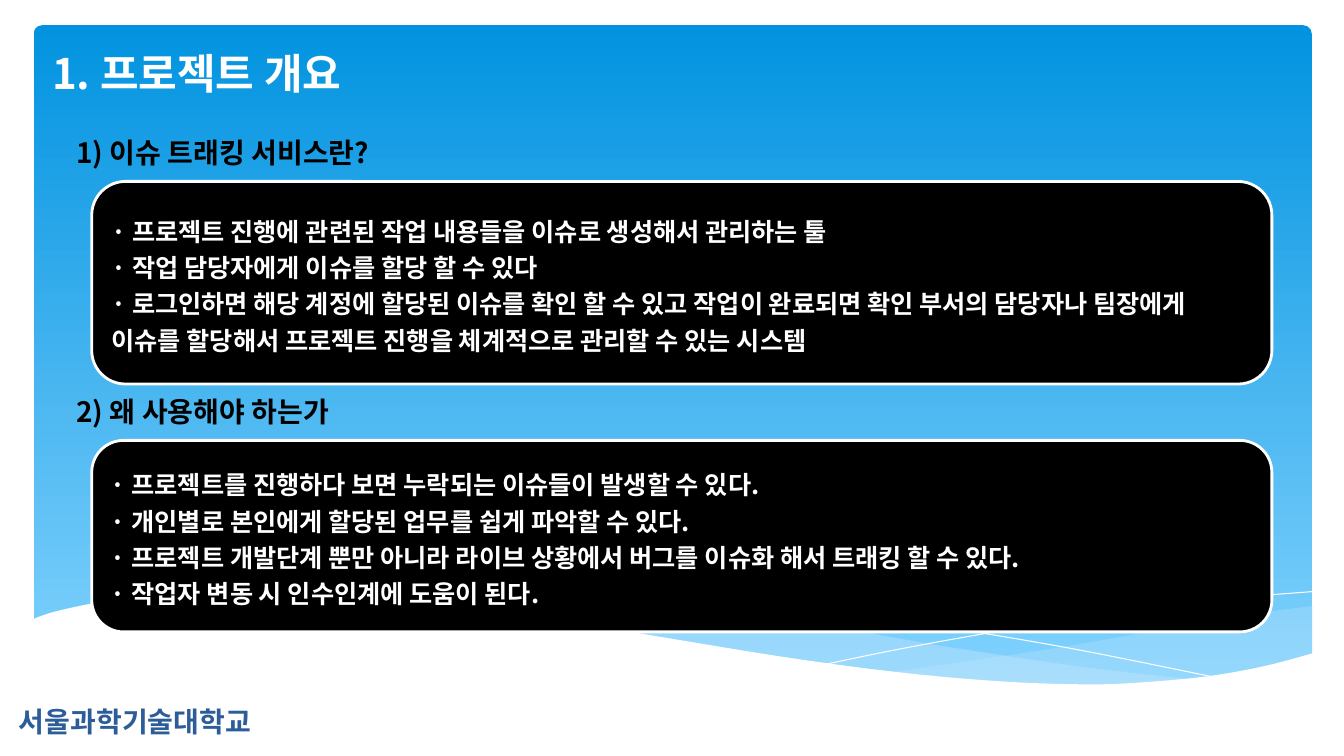
"""Build the project overview slide with its wave backdrop."""
from lxml.etree import SubElement
from pptx import Presentation
from pptx.dml.color import RGBColor as RGB
from pptx.enum.shapes import MSO_SHAPE as Kind
from pptx.enum.text import MSO_ANCHOR as Anchor, PP_ALIGN as Align
from pptx.oxml.ns import qn
from pptx.util import Pt

HEADS = [
    ("서울과학기술대학교", (6.5, 502.5, 343.5, 31), "foot", "blue"),
    ("1. 프로젝트 개요", (30.2, 34.5, 271.5, 42.5), "title", "white"),
]
PARTS = [
    ("2) 왜 사용해야 하는가", 280.8, 314.6, 136.8, [
        "프로젝트를 진행하다 보면 누락되는 이슈들이 발생할 수 있다.",
        "개인별로 본인에게 할당된 업무를 쉽게 파악할 수 있다.",
        "프로젝트 개발단계 뿐만 아니라 라이브 상황에서 버그를 이슈화 해서 트래킹 할 수 있다.",
        "작업자 변동 시 인수인계에 도움이 된다.",
    ]),
    ("1) 이슈 트래킹 서비스란?", 95.8, 129.6, 144.7, [
        "프로젝트 진행에 관련된 작업 내용들을 이슈로 생성해서 관리하는 툴",
        "작업 담당자에게 이슈를 할당 할 수 있다",
        "로그인하면 해당 계정에 할당된 이슈를 확인 할 수 있고 작업이 완료되면 확인 부서의 "
        "담당자나 팀장에게 이슈를 할당해서 프로젝트 진행을 체계적으로 관리할 수 있는 시스템",
    ]),
]
WAVES = [
    ("pale", 29, [
        [(938, 432.7), (885, 440), (827.3, 450), (748.8, 463.7), (635.8, 480.2)],
        [(635.8, 480.2), (690.5, 485.3), (739.4, 488.9), (782.6, 489.6),
         (829.4, 487.4), (877.7, 481.7), (912.2, 474.5), (938, 467.3)],
    ]),
    ("pale", 40, [
        [(858.2, 486), (775.4, 476.6), (678.2, 462.2), (604.8, 449.3), (533.5, 437),
         (469.4, 429.1), (403.9, 424.1), (347, 422.6), (301, 424.8), (275, 427)],
        [(275, 427), (329, 432.7), (388.8, 441.4), (432, 449.3), (509, 462.2),
         (578.2, 473), (653.8, 482.4), (719.3, 488.2), (775.4, 489.6),
         (824.4, 488.9), (858.2, 486)],
    ]),
    (None, 100, [
        [(297.4, 429.8), (330.5, 426.2), (385.9, 424.1), (450.7, 424.8), (512, 429.1),
         (584.6, 436.3), (668.2, 447.1), (763.9, 463), (871.9, 484.6)],
    ]),
    (None, 100, [
        [(589.7, 474.5), (645.8, 463), (718.6, 450), (803.5, 436.3), (874.8, 427.7),
         (937.4, 422.6)],
    ]),
    ("white", 100, [
        [(938, 466.6), (902.9, 475.9), (862.6, 483.1), (816.5, 487.4), (776.2, 488.9),
         (714.2, 486.7), (641.5, 480.2), (555.8, 468.7), (429.1, 447.8), (350, 434.9),
         (280.8, 426.2), (220.3, 422.6), (169.2, 421.9), (113.8, 424.1), (72.7, 429.8),
         (38.9, 437), (22.3, 442.8)],
        [(22.3, 526.3), (938, 526.3)],
    ]),
]
THEME = {
    "font": "Noto Sans CJK KR",
    "color": {"white": "FFFFFF", "black": "000000", "blue": "2C5D98",
              "pale": "C6E7FC", "top": "0293E0", "base": "83D3FE"},
    "size": {"foot": 20, "title": 30, "head": 20, "body": 18},
}
HEAD = {"line_spacing": 0.9, "space_before": Pt(10), "alignment": Align.LEFT}
BODY = {"line_spacing": 1.2, "alignment": Align.LEFT}
STEPS = 5


def tint(name):
    return RGB.from_string(THEME["color"][name])


def assign(item, form):
    for key, val in form.items():
        setattr(item, key, val)


def write(frame, lines, size, color, form):
    frame.word_wrap = True
    for num, line in enumerate(lines):
        para = frame.paragraphs[0] if num == 0 else frame.add_paragraph()
        assign(para, form)
        run = para.add_run()
        run.text = line
        assign(run.font, {"size": Pt(THEME["size"][size]), "bold": True,
                          "name": THEME["font"]})
        run.font.color.rgb = tint(color)
        SubElement(run.font._element, qn("a:ea"), typeface=THEME["font"])


def label(slide, text, place, size, color):
    box = slide.shapes.add_textbox(*map(Pt, place))
    write(box.text_frame, [text], size, color, HEAD)


def paint(shape, fill=None, line=None, width=0):
    shape.shadow.inherit = False
    if fill:
        shape.fill.solid()
        shape.fill.fore_color.rgb = tint(fill)
    else:
        shape.fill.background()
    if line:
        shape.line.color.rgb = tint(line)
        shape.line.width = Pt(width)
    else:
        shape.line.fill.background()


def smooth(knots):
    """Return a Catmull-Rom curve through the knots."""
    ends = [knots[0], *knots, knots[-1]]
    curve = [knots[0]]
    for a, b, c, d in zip(ends, ends[1:], ends[2:], ends[3:]):
        for step in range(1, STEPS + 1):
            t = step / STEPS
            curve.append(tuple(
                q + t * (r - p + t * (2 * p - 5 * q + 4 * r - s
                                      + t * (3 * q - p - 3 * r + s))) / 2
                for p, q, r, s in zip(a, b, c, d)))
    return curve


def wave(slide, fill, alpha, curves):
    dots = [(Pt(x), Pt(y)) for knots in curves for x, y in smooth(knots)]
    pen = slide.shapes.build_freeform(*dots[0], scale=1.0)
    pen.add_line_segments(dots[1:], close=bool(fill))
    shape = pen.convert_to_shape()
    paint(shape, fill, None if fill else "white")
    if alpha < 100:
        color = shape._element.spPr.find(".//" + qn("a:srgbClr"))
        SubElement(color, qn("a:alpha"), val=str(alpha * 1000))


def panel(slide):
    shape = slide.shapes.add_shape(Kind.ROUNDED_RECTANGLE,
                                   *map(Pt, (24, 18, 913, 475.2)))
    shape.adjustments[0] = 0.013
    paint(shape)
    shape.fill.gradient()
    shape.fill.gradient_angle = 270
    for stop, name in zip(shape.fill.gradient_stops, ("top", "base")):
        stop.color.rgb = tint(name)


def block(slide, head, head_y, top, height, lines):
    label(slide, head, (47.5, head_y, 302.4, 40.3), "head", "black")
    box = slide.shapes.add_shape(Kind.ROUNDED_RECTANGLE,
                                 *map(Pt, (65.5, top, 843, height)))
    paint(box, "black", "white", 2)
    box.text_frame.vertical_anchor = Anchor.MIDDLE
    write(box.text_frame, ["· " + line for line in lines], "body", "white", BODY)


def main():
    deck = Presentation()
    assign(deck, {"slide_width": Pt(960), "slide_height": Pt(540)})
    slide = deck.slides.add_slide(deck.slide_layouts[6])
    panel(slide)
    for item in WAVES:
        wave(slide, *item)
    for item in HEADS:
        label(slide, *item)
    for item in PARTS:
        block(slide, *item)
    deck.save("out.pptx")


if __name__ == "__main__":
    main()
